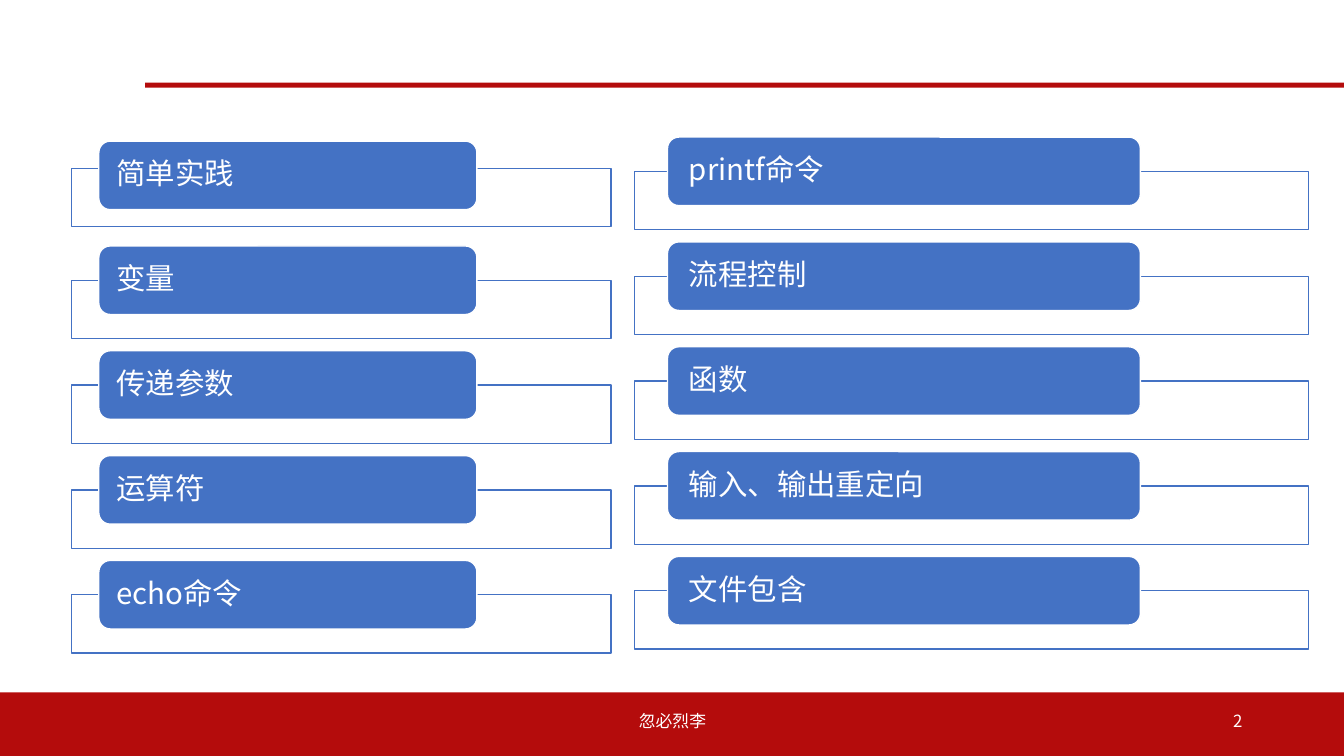
from lxml import etree
from pptx import Presentation
from pptx.dml.color import RGBColor
from pptx.enum.shapes import MSO_SHAPE
from pptx.enum.text import MSO_ANCHOR, PP_ALIGN
from pptx.oxml.ns import qn
from pptx.util import Inches, Pt

COLORS = {"red": "B40C0C", "blue": "4472C4", "white": "FFFFFF"}
FONT = "Noto Sans CJK SC"

BANDS = [(0, 6.87, 13.33, 0.63), (1.44, 0.82, 11.89, 0.05)]
FOOTERS = [
    ("忽必烈李", (4.42, 6.95, 4.5, 0.4), PP_ALIGN.CENTER),
    ("2", (9.42, 6.95, 3, 0.4), PP_ALIGN.RIGHT),
]
COLUMNS = [
    {
        "topics": ["简单实践", "变量", "传递参数", "运算符", "echo命令"],
        "frame_left": 0.71, "frame_width": 5.35,
        "label_left": 0.98, "label_width": 3.75,
        "top": 1.4, "inset": 0.14, "first_frame_lift": 0.07,
    },
    {
        "topics": ["printf命令", "流程控制", "函数", "输入、输出重定向", "文件包含"],
        "frame_left": 6.29, "frame_width": 6.69,
        "label_left": 6.62, "label_width": 4.69,
        "top": 1.36, "inset": 0.18, "first_frame_lift": 0,
    },
]
ROW_PITCH = 1.04
FRAME_DROP = 0.34
FRAME_HEIGHT = 0.58
LABEL_HEIGHT = 0.68


def rgb(name):
    return RGBColor.from_string(COLORS[name])


def add_block(shapes, kind, box, fill, line=None):
    block = shapes.add_shape(kind, *map(Inches, box))
    block.shadow.inherit = False
    block.fill.solid()
    block.fill.fore_color.rgb = rgb(fill)
    if line:
        block.line.color.rgb = rgb(line)
        block.line.width = Pt(1)
    else:
        block.line.fill.background()
    return block


def write(holder, text, size, align, frame_format):
    frame = holder.text_frame
    frame_format = {"word_wrap": True, "vertical_anchor": MSO_ANCHOR.MIDDLE, **frame_format}
    for attribute, value in frame_format.items():
        setattr(frame, attribute, value)
    paragraph = frame.paragraphs[0]
    paragraph.alignment = align
    run = paragraph.add_run()
    run.text = text
    for attribute, value in {"name": FONT, "size": Pt(size)}.items():
        setattr(run.font, attribute, value)
    run.font.color.rgb = rgb("white")
    etree.SubElement(run.font._element, qn("a:ea"), typeface=FONT)
    return paragraph


def add_topic(shapes, column, row, topic):
    label_top = column["top"] + row * ROW_PITCH
    lift = 0 if row else column["first_frame_lift"]
    frame_box = (column["frame_left"], label_top + FRAME_DROP - lift,
                 column["frame_width"], FRAME_HEIGHT)
    frame = add_block(shapes, MSO_SHAPE.RECTANGLE, frame_box, "white", "blue")
    frame_color = frame.fill._xPr.find(qn("a:solidFill"))[0]
    etree.SubElement(frame_color, qn("a:alpha"), val="90000")

    label_box = (column["label_left"], label_top, column["label_width"], LABEL_HEIGHT)
    label = add_block(shapes, MSO_SHAPE.ROUNDED_RECTANGLE, label_box, "blue", "white")
    inset = Inches(column["inset"])
    margins = {"margin_left": inset, "margin_right": inset,
               "margin_top": 0, "margin_bottom": 0}
    paragraph = write(label, topic, 21, PP_ALIGN.LEFT, margins)
    paragraph.line_spacing = 0.9


def main():
    deck = Presentation()
    deck.slide_width, deck.slide_height = Inches(13.33), Inches(7.5)
    slide = deck.slides.add_slide(deck.slide_layouts[6])

    for band in BANDS:
        add_block(slide.shapes, MSO_SHAPE.RECTANGLE, band, "red")
    for text, box, align in FOOTERS:
        write(slide.shapes.add_textbox(*map(Inches, box)), text, 12, align, {})
    for column in COLUMNS:
        group = slide.shapes.add_group_shape()
        for row, topic in enumerate(column["topics"]):
            add_topic(group.shapes, column, row, topic)

    deck.save("out.pptx")


if __name__ == "__main__":
    main()
